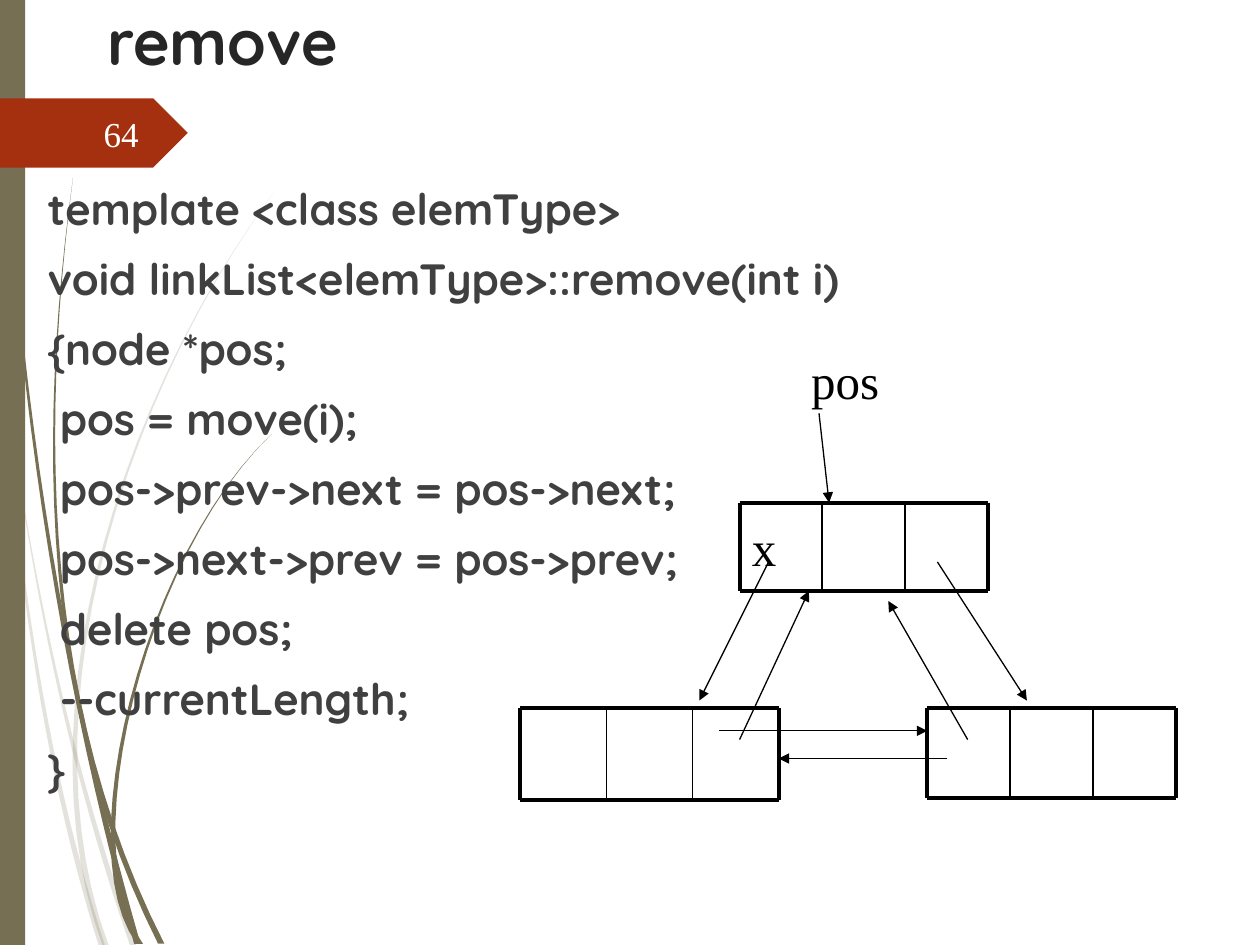
import pptx
import pptx.dml.color
import pptx.enum.shapes
import pptx.enum.text
import pptx.oxml
import pptx.oxml.ns
import pptx.util

PX = 9144  # EMU per px, 100 px to the inch
A_NS = pptx.oxml.ns.nsdecls("a")


class Theme:
    olive, rust, black = "766F54", "A53010", "000000"
    title, code, number = "262626", "404040", "FEFFFF"
    head_font, label_font = "Quicksand", "Times New Roman"
    title_pt, code_pt, label_pt, number_pt = 36, 25, 28, 20
    outer_pt, inner_pt, arrow_pt = 2.25, 1, 0.75
    code_gap_pt = 10


rgb = pptx.dml.color.RGBColor.from_string
align = pptx.enum.text.PP_ALIGN
anchor = pptx.enum.text.MSO_ANCHOR
preset = pptx.enum.shapes.MSO_SHAPE


def write(sp, lines, font, size, color, bold=False, gap=0):
    """Fill a shape with one paragraph per line, gap points apart."""
    tf = sp.text_frame
    tf.word_wrap = True
    for i, text in enumerate(lines):
        p = tf.paragraphs[0] if i == 0 else tf.add_paragraph()
        p.alignment = align.LEFT
        p.space_before = pptx.util.Pt(gap if i else 0)
        r = p.add_run()
        r.text = text
        r.font.name, r.font.size = font, pptx.util.Pt(size)
        r.font.bold, r.font.color.rgb = bold, rgb(color)
    return tf


def line(shapes, start, end, width, arrow=False):
    c = shapes.add_connector(pptx.enum.shapes.MSO_CONNECTOR.STRAIGHT,
                             *(round(v * PX) for v in (*start, *end)))
    c.line.width, c.line.color.rgb = pptx.util.Pt(width), rgb(Theme.black)
    if arrow:
        c.line._get_or_add_ln().append(
            pptx.oxml.parse_xml(f'<a:tailEnd {A_NS} type="triangle"/>'))
    c._element.spPr.append(pptx.oxml.parse_xml(f'<a:effectLst {A_NS}/>'))


prs = pptx.Presentation()
prs.slide_width, prs.slide_height = 1000 * PX, 750 * PX
s = prs.slides.add_slide(prs.slide_layouts[5])

# Grass: each blade is a cubic curve through four points, tip to root,
# that widens evenly from nothing to root_width.
root_width, steps = 5, 24
faint_clump = [
    [(0, 282), (16, 438), (41, 595), (81, 751)],
    [(10, 345), (33, 480), (64, 615), (106, 751)],
    [(217, 153), (110, 350), (61, 560), (84, 751)],
]
solid_clump = [
    [(3, 0), (15, 245), (51, 500), (109, 749)],
    [(58, 141), (43, 349), (62, 555), (128, 749)],
    [(216, 344), (131, 476), (91, 633), (111, 749)],
]
for clump, opacity in ((faint_clump, 20), (solid_clump, 100)):
    clump_shapes = s.shapes.add_group_shape().shapes
    for blade in clump:
        left_edge, right_edge = [], []
        for step in range(steps + 1):
            t = step / steps
            # Lagrange weights for points at t = 0, 1/3, 2/3 and 1
            a, b, c, d = 3 * t, 3 * t - 1, 3 * t - 2, 3 * t - 3
            weights = (-b * c * d / 6, a * c * d / 2, -a * b * d / 2, a * b * c / 6)
            x, y = (sum(w * v for w, v in zip(weights, axis)) for axis in zip(*blade))
            half = root_width * t / 2
            left_edge.append(((x - half) * PX, y * PX))
            right_edge.append(((x + half) * PX, y * PX))
        outline = left_edge + right_edge[::-1]
        builder = clump_shapes.build_freeform(*outline[0])
        builder.add_line_segments(outline[1:], close=True)
        sp = builder.convert_to_shape()
        sp.fill.solid()
        sp.fill.fore_color.rgb = rgb(Theme.olive)
        sp.line.fill.background()
        sp.shadow.inherit = False
        color = sp._element.spPr.find(".//" + pptx.oxml.ns.qn("a:srgbClr"))
        color.append(pptx.oxml.parse_xml(f'<a:alpha {A_NS} val="{opacity * 1000}"/>'))

# Side bar and page number tag
for kind, top, width, height, color in (
        (preset.RECTANGLE, 0, 20, 750, Theme.olive),
        (preset.PENTAGON, 78, 149, 55, Theme.rust)):
    sp = s.shapes.add_shape(kind, 0, top * PX, width * PX, height * PX)
    sp.fill.solid()
    sp.fill.fore_color.rgb = rgb(color)
    sp.line.fill.background()
    sp.shadow.inherit = False

title = s.shapes.title
title.left, title.top, title.width, title.height = 75 * PX, -3 * PX, 850 * PX, 87 * PX
tf = write(title, ["remove"], Theme.head_font, Theme.title_pt, Theme.title, bold=True)
tf.vertical_anchor = anchor.TOP

code = s.shapes.add_textbox(28 * PX, 139 * PX, 756 * PX, 559 * PX)
write(code, [
    "template <class elemType>",
    "void linkList<elemType>::remove(int i)",
    "{node *pos;",
    " pos = move(i);",
    " pos->prev->next = pos->next;",
    " pos->next->prev = pos->prev;",
    " delete pos;",
    " --currentLength;",
    "}",
], Theme.head_font, Theme.code_pt, Theme.code, bold=True, gap=Theme.code_gap_pt)

number = s.shapes.add_textbox(56 * PX, 86 * PX, 64 * PX, 40 * PX)
tf = write(number, ["64"], Theme.label_font, Theme.number_pt, Theme.number)
tf.vertical_anchor = anchor.MIDDLE
tf.paragraphs[0].alignment = align.RIGHT

# List nodes: a thick frame split into equal cells by thin lines
cells = 3
linked = s.shapes
removed = s.shapes.add_group_shape().shapes
prev_left, prev_right = 413, 618
next_left, next_right = 736, 933
pos_left, pos_right, pos_top, pos_bottom = 587, 784, 399, 469
for shapes, left, right, top, bottom in (
        (linked, prev_left, prev_right, 562, 635),
        (linked, next_left, next_right, 562, 633),
        (removed, pos_left, pos_right, pos_top, pos_bottom)):
    for y in (top, bottom):
        line(shapes, (left, y), (right, y), Theme.outer_pt)
    for i in range(cells + 1):
        x = left + (right - left) * i / cells
        width = Theme.outer_pt if i in (0, cells) else Theme.inner_pt
        line(shapes, (x, top), (x, bottom), width)

# Pointers between the nodes
for shapes, start, end in (
        (linked, (571, 580), (next_left, 580)),      # prev node to next node
        (linked, (752, 602), (prev_right, 602)),     # next node to prev node
        (linked, (587, 587), (642, pos_bottom)),     # prev node to removed node
        (linked, (768, 587), (705, 477)),            # next node to removed node
        (removed, (610, 446), (555, 556)),           # removed node to prev node
        (removed, (744, 446), (815, 556)),           # removed node to next node
        (removed, (650, 328), (658, pos_top))):      # pos label to removed node
    line(shapes, start, end, Theme.arrow_pt, arrow=True)

for text, left, top, width in (("x", pos_left, 406, 63), ("pos", 634, 273, 86)):
    label = removed.add_textbox(left * PX, top * PX, width * PX, 57 * PX)
    write(label, [text], Theme.label_font, Theme.label_pt, Theme.black)

prs.save("out.pptx")
